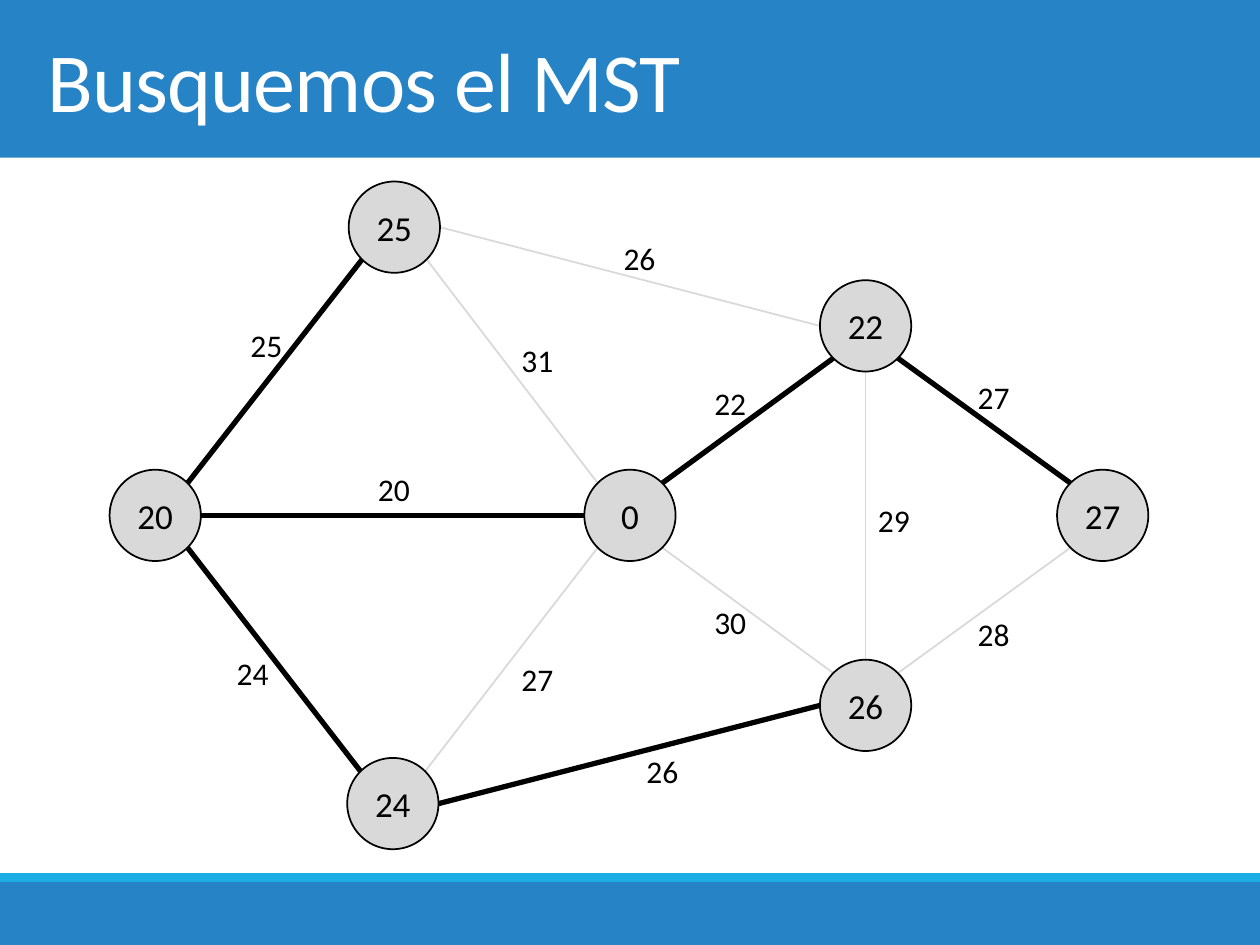
from math import sqrt

from lxml.etree import SubElement
from pptx import Presentation
from pptx.dml.color import RGBColor
from pptx.enum.shapes import MSO_CONNECTOR, MSO_SHAPE
from pptx.enum.text import MSO_ANCHOR, PP_ALIGN
from pptx.oxml.ns import qn
from pptx.util import Cm, Pt

WIDTH, HEIGHT = 25.4, 19.05
RADIUS = 0.92
BLUE, CYAN, GREY, BLACK, WHITE = "2683C6", "1CADE4", "D9D9D9", "000000", "FFFFFF"

NODES = {
    "22": (17.45, 6.57),
    "25": (7.95, 4.58),
    "24": (7.92, 16.2),
    "0": (12.7, 10.39),
    "26": (17.45, 14.22),
    "27": (22.23, 10.39),
    "20": (3.13, 10.39),
}
DIRECTIONS = {
    "N": (0, -1), "S": (0, 1), "W": (-1, 0), "E": (1, 0),
    "NW": (-1, -1), "NE": (1, -1), "SW": (-1, 1), "SE": (1, 1),
}
EDGES = [
    ("25", "SW", "20", "NE", True, "25", 4.8, 6.45),
    ("25", "SE", "0", "NW", False, "31", 10.26, 6.76),
    ("0", "NE", "22", "SW", True, "22", 14.15, 7.62),
    ("22", "SE", "27", "NW", True, "27", 19.46, 7.49),
    ("20", "SE", "24", "NW", True, "24", 4.52, 13.06),
    ("24", "NE", "0", "SW", False, "27", 10.26, 13.18),
    ("26", "NW", "0", "SE", False, "30", 14.15, 12.04),
    ("26", "NE", "27", "SW", False, "28", 19.46, 12.27),
    ("20", "E", "0", "W", True, "20", 7.37, 9.35),
    ("25", "E", "22", "W", False, "26", 12.32, 4.7),
    ("22", "S", "26", "N", False, "29", 17.45, 9.98),
    ("24", "E", "26", "W", True, "26", 12.78, 15.04),
]


def colour(value):
    return RGBColor.from_string(value)


def rim_point(node, direction):
    x, y = NODES[node]
    dx, dy = DIRECTIONS[direction]
    reach = RADIUS / sqrt(dx * dx + dy * dy)
    return x + dx * reach, y + dy * reach


class GraphPage:
    """Draws styled elements on the current slide."""

    font = "Calibri"

    def __init__(self, page):
        self.page = page

    def put_text(self, shape, text, size, ink, align=PP_ALIGN.LEFT):
        frame = shape.text_frame
        frame.text = text
        para = frame.paragraphs[0]
        para.alignment = align
        span = para.runs[0]
        span.font.name = self.font
        span.font.size = Pt(size)
        span.font.color.rgb = colour(ink)
        return span

    def shape(self, kind, left, top, width, height, fill):
        shape = self.page.shapes.add_shape(kind, Cm(left), Cm(top), Cm(width), Cm(height))
        shape.shadow.inherit = False
        shape.fill.solid()
        shape.fill.fore_color.rgb = colour(fill)
        return shape

    def band(self, top, height, fill):
        self.shape(MSO_SHAPE.RECTANGLE, 0, top, WIDTH, height, fill).line.fill.background()

    def title(self, text):
        box = self.page.shapes.add_textbox(Cm(0.71), Cm(0), Cm(24), Cm(3.18))
        box.text_frame.word_wrap = True
        box.text_frame.vertical_anchor = MSO_ANCHOR.MIDDLE
        span = self.put_text(box, text, 48, WHITE)
        span._r.get_or_add_rPr().set("spc", "-50")

    def edge(self, start, end, chosen):
        ends = [Cm(value) for value in (*start, *end)]
        line = self.page.shapes.add_connector(MSO_CONNECTOR.STRAIGHT, *ends)
        line.line.color.rgb = colour(BLACK if chosen else GREY)
        line.line.width = Pt(3 if chosen else 1)
        SubElement(line._element.spPr, qn("a:effectLst"))

    def weight(self, text, left, top):
        box = self.page.shapes.add_textbox(Cm(left), Cm(top), Cm(1.17), Cm(1.02))
        box.text_frame.word_wrap = False
        self.put_text(box, text, 18, BLACK)

    def node(self, text, x, y):
        circle = self.shape(MSO_SHAPE.OVAL, x - RADIUS, y - RADIUS, 2 * RADIUS, 2 * RADIUS, GREY)
        circle.line.color.rgb = colour(BLACK)
        circle.line.width = Pt(1)
        circle.text_frame.vertical_anchor = MSO_ANCHOR.MIDDLE
        circle.text_frame.margin_left = circle.text_frame.margin_right = 0
        self.put_text(circle, text, 20, BLACK, PP_ALIGN.CENTER)


def main():
    deck = Presentation()
    deck.slide_width, deck.slide_height = Cm(WIDTH), Cm(HEIGHT)
    graph = GraphPage(deck.slides.add_slide(deck.slide_layouts[6]))

    graph.band(0, 3.18, BLUE)
    graph.band(17.78, 1.27, BLUE)
    graph.band(17.6, 0.18, CYAN)
    graph.title("Busquemos el MST")

    for source, leave, target, enter, chosen, *_ in EDGES:
        graph.edge(rim_point(source, leave), rim_point(target, enter), chosen)
    for *_, text, left, top in EDGES:
        graph.weight(text, left, top)
    for text, (x, y) in NODES.items():
        graph.node(text, x, y)

    deck.save("out.pptx")


if __name__ == "__main__":
    main()
